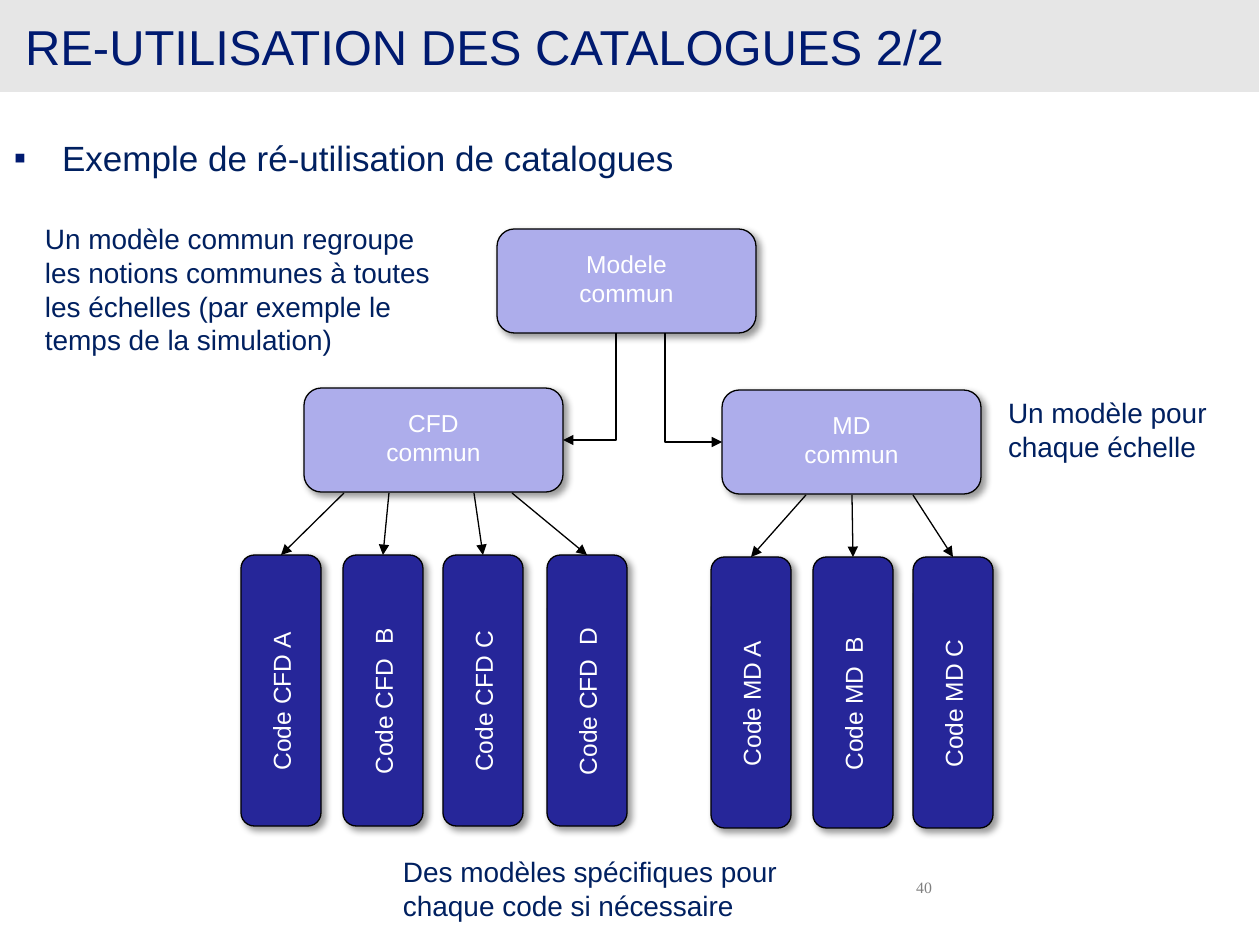
from dataclasses import dataclass

from lxml import etree
import pptx
import pptx.dml.color
import pptx.enum.shapes
import pptx.enum.text
import pptx.util
from pptx.oxml.ns import qn

PX = 914400 / 126
ALIGN = pptx.enum.text.PP_ALIGN
ANCHOR = pptx.enum.text.MSO_ANCHOR


def px(length):
    return pptx.util.Emu(round(length * PX))


@dataclass(frozen=True)
class Theme:
    banner: str = "E6E6E6"
    heading: str = "001A70"
    body: str = "002060"
    model: str = "ADADEB"
    code: str = "262699"
    on_fill: str = "FFFFFF"
    outline: str = "000000"
    number: str = "7F7F7F"
    font: str = "Arial"
    number_font: str = "Times New Roman"
    title_size: int = 28
    list_size: int = 20
    note_size: int = 16
    label_size: int = 14
    number_size: int = 9
    line_width: float = 0.75


def colour(value):
    return pptx.dml.color.RGBColor.from_string(value)


def add_xml(parent, tag, **attributes):
    return etree.SubElement(parent, qn(tag), attributes)


def apply(target, values):
    for name, value in values.items():
        setattr(target, name, value)


class Diagram:
    def __init__(self, slide, theme):
        self.slide, self.theme = slide, theme

    def place(self, shape, x, y, width, height):
        apply(shape, dict(left=px(x), top=px(y), width=px(width), height=px(height)))

    def set_text(self, shape, text, size, ink, insets, anchor=ANCHOR.TOP,
                 align=ALIGN.LEFT, font=None):
        """Fill a shape with text; insets are left, top, right, bottom in px."""
        frame = shape.text_frame
        frame.text = text
        sides = ("margin_left", "margin_top", "margin_right", "margin_bottom")
        apply(frame, dict(zip(sides, map(px, insets)), word_wrap=True,
                          vertical_anchor=anchor,
                          auto_size=pptx.enum.text.MSO_AUTO_SIZE.NONE))
        for paragraph in frame.paragraphs:
            paragraph.alignment = align
            for run in paragraph.runs:
                apply(run.font, dict(name=font or self.theme.font,
                                     size=pptx.util.Pt(size)))
                run.font.color.rgb = colour(ink)

    def title(self, text, *box):
        banner = self.slide.shapes.title
        self.place(banner, *box)
        banner.fill.solid()
        banner.fill.fore_color.rgb = colour(self.theme.banner)
        self.set_text(banner, text, self.theme.title_size, self.theme.heading,
                      (25, 0, 0, 0), ANCHOR.MIDDLE)

    def bullets(self, text, *box):
        body = self.slide.placeholders[1]
        self.place(body, *box)
        self.set_text(body, text, self.theme.list_size, self.theme.body, (13, 6, 13, 6))
        for paragraph in body.text_frame.paragraphs:
            paragraph.space_before = pptx.util.Pt(3)
            properties = paragraph._p.get_or_add_pPr()
            properties.set("marL", str(px(48)))
            properties.set("indent", str(px(-48)))
            bullet_colour = add_xml(properties, "a:buClr")
            add_xml(bullet_colour, "a:srgbClr", val=self.theme.heading)
            add_xml(properties, "a:buFont", typeface=self.theme.font)
            add_xml(properties, "a:buChar", char="▪")

    def text(self, text, box, **style):
        label = self.slide.shapes.add_textbox(*map(px, box))
        self.set_text(label, text, **style)

    def note(self, text, *box):
        self.text(text, box, size=self.theme.note_size, ink=self.theme.body,
                  insets=(0, 33, 0, 0))

    def number(self, text, *box):
        self.text(text, box, size=self.theme.number_size, ink=self.theme.number,
                  insets=(0, 0, 0, 0), align=ALIGN.RIGHT, font=self.theme.number_font)

    def card(self, text, box, fill, insets, anchor):
        """Rounded, outlined box with a soft shadow and a centred label."""
        card = self.slide.shapes.add_shape(
            pptx.enum.shapes.MSO_SHAPE.ROUNDED_RECTANGLE, *map(px, box))
        card.fill.solid()
        card.fill.fore_color.rgb = colour(fill)
        card.line.color.rgb = colour(self.theme.outline)
        card.line.width = pptx.util.Pt(self.theme.line_width)
        card.shadow.inherit = False
        effects = card._element.spPr.find(qn("a:effectLst"))
        shadow = add_xml(effects, "a:outerShdw", blurRad="50800", dist="38100",
                         dir="2700000", algn="tl", rotWithShape="0")
        shade = add_xml(shadow, "a:srgbClr", val=self.theme.outline)
        add_xml(shade, "a:alpha", val="40000")
        self.set_text(card, text, self.theme.label_size, self.theme.on_fill, insets,
                      anchor, ALIGN.CENTER)
        return card

    def model(self, text, x, y):
        self.card(text, (x, y, 259, 104), self.theme.model, (50, 15, 50, 0), ANCHOR.TOP)

    def code(self, text, x, y, width=80, height=271):
        """Upright code box whose label reads from bottom to top."""
        shift = (height - width) / 2
        card = self.card(text, (x - shift, y + shift, height, width),
                         self.theme.code, (0, 0, 22, 0), ANCHOR.MIDDLE)
        card.rotation = 270

    def arrow(self, start, end, kind=pptx.enum.shapes.MSO_CONNECTOR.STRAIGHT):
        arrow = self.slide.shapes.add_connector(kind, *map(px, (*start, *end)))
        arrow.line.color.rgb = colour(self.theme.outline)
        arrow.line.width = pptx.util.Pt(self.theme.line_width)
        add_xml(arrow.line._get_or_add_ln(), "a:tailEnd", type="triangle")
        add_xml(arrow._element.spPr, "a:effectLst")
        return arrow

    def elbow(self, start, end):
        """Arrow going down, then sideways: a turned one-bend connector."""
        (x0, y0), (x1, y1) = start, end
        middle_x, middle_y = (x0 + x1) / 2, (y0 + y1) / 2
        to_right = x1 > x0
        half_run = (y1 - y0) / 2 * (-1 if to_right else 1)
        half_rise = abs(x1 - x0) / 2
        arrow = self.arrow((middle_x - half_run, middle_y - half_rise),
                           (middle_x + half_run, middle_y + half_rise),
                           pptx.enum.shapes.MSO_CONNECTOR.ELBOW)
        properties = arrow._element.spPr
        properties.find(qn("a:xfrm")).set("rot", str((270 if to_right else 90) * 60000))
        properties.find(qn("a:prstGeom")).set("prst", "bentConnector2")


def main():
    deck = pptx.Presentation()
    apply(deck, dict(slide_width=px(1260), slide_height=px(945)))
    diagram = Diagram(deck.slides.add_slide(deck.slide_layouts[1]), Theme())

    diagram.title("RE-UTILISATION DES CATALOGUES 2/2", 0, 0, 1259, 92)
    diagram.bullets("Exemple de ré-utilisation de catalogues", 1, 130, 1148, 55)
    diagram.number("40", 868, 878, 64, 50)

    # Scale, model left and top, then code letter, code left and arrow start
    families = [
        ("CFD", 304, 388, [("A", 241, 344), (" B", 343, 389),
                           ("C", 443, 474), (" D", 547, 512)]),
        ("MD", 722, 390, [("A", 711, 806), (" B", 813, 852), ("C", 913, 913)]),
    ]
    diagram.model("Modele commun", 497, 229)
    for scale, left, top, codes in families:
        diagram.model(f"{scale}\ncommun", left, top)
        code_top = top + 167
        for letter, code_left, arrow_x in codes:
            diagram.code(f"Code {scale} {letter}", code_left, code_top)
            diagram.arrow((arrow_x, top + 105), (code_left + 40, code_top))
    diagram.elbow((616, 333), (563, 440))
    diagram.elbow((665, 333), (722, 442))

    diagram.note("Un modèle pour chaque échelle", 1008, 363, 205, 169)
    diagram.note("Un modèle commun regroupe les notions communes à toutes les échelles "
                 "(par exemple le temps de la simulation)", 45, 189, 398, 165)
    diagram.note("Des modèles spécifiques pour chaque code si nécessaire",
                 403, 822, 403, 116)
    deck.save("out.pptx")


if __name__ == "__main__":
    main()
